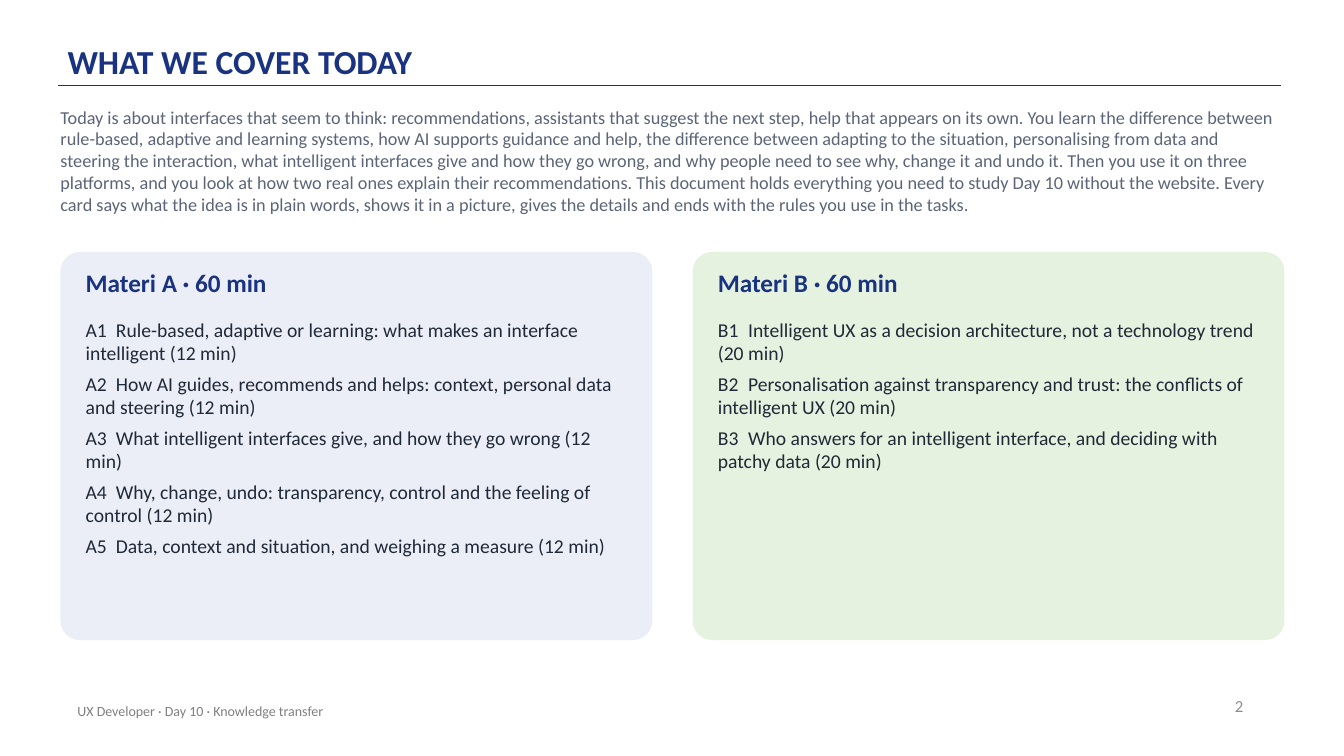
from dataclasses import dataclass

from lxml.etree import SubElement
from pptx import Presentation
from pptx.dml.color import RGBColor
from pptx.enum.shapes import MSO_CONNECTOR, MSO_SHAPE
from pptx.enum.text import MSO_ANCHOR, MSO_AUTO_SIZE, PP_ALIGN
from pptx.oxml.ns import qn
from pptx.util import Emu, Pt

PX = 9144  # 100 px to the inch


@dataclass(frozen=True)
class Theme:
    font: str = "Calibri"
    navy: str = "1A3381"
    ink: str = "1F2937"
    slate: str = "5B6577"
    grey: str = "808080"
    light_grey: str = "8C8C8C"
    lavender: str = "ECEEF7"
    mint: str = "E5F2DF"
    title: int = 24
    heading: int = 18
    item: int = 14
    intro: int = 13
    number: int = 12
    footer: int = 10


class Deck:
    def __init__(self, theme, width, height):
        self.theme = theme
        self.prs = Presentation()
        self.prs.slide_width, self.prs.slide_height = self.px(width, height)
        self.slide = self.prs.slides.add_slide(self.prs.slide_layouts[6])

    def px(self, *lengths):
        return [Emu(n * PX) for n in lengths]

    def text(self, box, lines, size, color, bold=False, align=PP_ALIGN.LEFT,
             anchor=MSO_ANCHOR.TOP, insets=(0, 0, 0, 0), grow=False,
             after=0, spacing=None, tab=None):
        sp = self.slide.shapes.add_textbox(*self.px(*box))
        tf = sp.text_frame
        tf.word_wrap = True
        tf.auto_size = MSO_AUTO_SIZE.SHAPE_TO_FIT_TEXT if grow else MSO_AUTO_SIZE.NONE
        tf.vertical_anchor = anchor
        (tf.margin_left, tf.margin_top,
         tf.margin_right, tf.margin_bottom) = self.px(*insets)
        tf.text = "\n".join(lines)
        for p in tf.paragraphs:
            p.alignment = align
            p.space_after = Pt(after)
            if spacing:
                p.line_spacing = spacing
            if tab:
                tabs = SubElement(p._p.get_or_add_pPr(), qn("a:tabLst"))
                SubElement(tabs, qn("a:tab"), pos=str(tab * PX), algn="l")
            for r in p.runs:
                r.font.name = self.theme.font
                r.font.size = Pt(size)
                r.font.bold = bold
                r.font.color.rgb = RGBColor.from_string(color)

    def panel(self, box, color):
        sp = self.slide.shapes.add_shape(MSO_SHAPE.ROUNDED_RECTANGLE, *self.px(*box))
        sp.adjustments[0] = 0.05
        sp.shadow.inherit = False
        sp.fill.solid()
        sp.fill.fore_color.rgb = RGBColor.from_string(color)
        sp.line.fill.background()

    def rule(self, x1, y1, x2, y2, color):
        line = self.slide.shapes.add_connector(
            MSO_CONNECTOR.STRAIGHT, *self.px(x1, y1, x2, y2))
        line.line.color.rgb = RGBColor.from_string(color)
        line.line.width = Pt(1)
        SubElement(line._element.spPr, qn("a:effectLst"))

    def session(self, left, letter, color, topics, minutes):
        t = self.theme
        self.panel((left, 250, 587, 385), color)
        self.text((left + 25, 265, 537, 40), [f"Materi {letter} · 60 min"],
                  t.heading, t.navy, bold=True, grow=True, after=6)
        items = [f"{letter}{i}\t{topic} ({minutes} min)"
                 for i, topic in enumerate(topics, 1)]
        self.text((left + 25, 315, 537, 310), items, t.item, t.ink,
                  grow=True, after=5, tab=30)


INTRO = (
    "Today is about interfaces that seem to think: recommendations, assistants that "
    "suggest the next step, help that appears on its own. You learn the difference "
    "between rule-based, adaptive and learning systems, how AI supports guidance and "
    "help, the difference between adapting to the situation, personalising from data "
    "and steering the interaction, what intelligent interfaces give and how they go "
    "wrong, and why people need to see why, change it and undo it. Then you use it on "
    "three platforms, and you look at how two real ones explain their recommendations. "
    "This document holds everything you need to study Day 10 without the website. "
    "Every card says what the idea is in plain words, shows it in a picture, gives the "
    "details and ends with the rules you use in the tasks."
)
TOPICS_A = [
    "Rule-based, adaptive or learning: what makes an interface intelligent",
    "How AI guides, recommends and helps: context, personal data and steering",
    "What intelligent interfaces give, and how they go wrong",
    "Why, change, undo: transparency, control and the feeling of control",
    "Data, context and situation, and weighing a measure",
]
TOPICS_B = [
    "Intelligent UX as a decision architecture, not a technology trend",
    "Personalisation against transparency and trust: the conflicts of intelligent UX",
    "Who answers for an intelligent interface, and deciding with patchy data",
]


def main():
    t = Theme()
    deck = Deck(t, 1333, 750)

    # Title and rule
    deck.rule(1271, 85, 58, 85, t.navy)
    deck.text((67, 12, 1100, 72), ["WHAT WE COVER TODAY"], t.title, t.navy, bold=True,
              anchor=MSO_ANCHOR.BOTTOM, insets=(0, 3, 0, 3), spacing=0.9)

    # Footer
    deck.text((943, 680, 300, 40), ["2"], t.number, t.light_grey,
              align=PP_ALIGN.RIGHT, anchor=MSO_ANCHOR.MIDDLE, insets=(10, 5, 10, 5))
    deck.text((67, 685, 670, 40), ["UX Developer · Day 10 · Knowledge transfer"],
              t.footer, t.grey, anchor=MSO_ANCHOR.MIDDLE, insets=(10, 5, 10, 5))

    # Introduction
    deck.text((60, 105, 1210, 120), [INTRO], t.intro, t.slate, grow=True, after=6)

    # Sessions
    deck.session(60, "A", t.lavender, TOPICS_A, 12)
    deck.session(687, "B", t.mint, TOPICS_B, 20)

    deck.prs.save("out.pptx")


if __name__ == "__main__":
    main()
